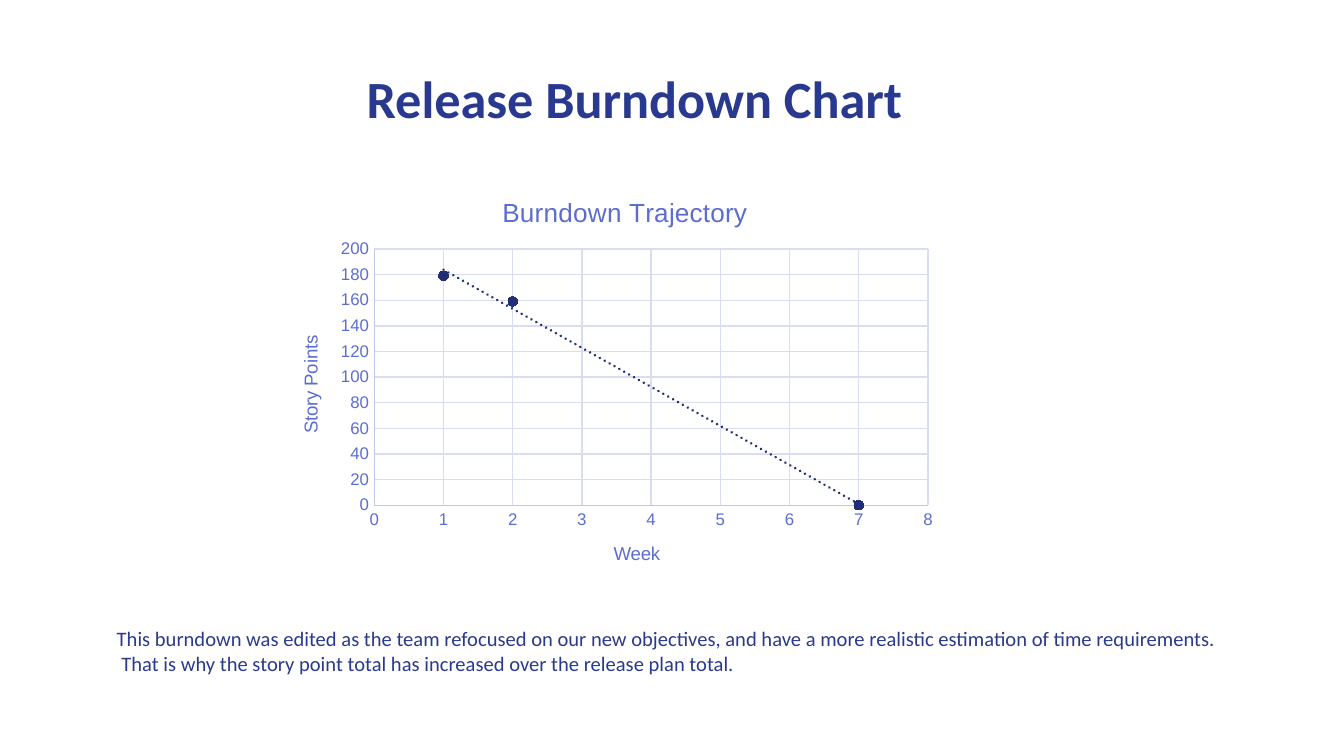
import pptx
import pptx.chart.data
import pptx.dml.color
import pptx.enum.chart
import pptx.enum.text
import pptx.oxml
import pptx.oxml.ns
import pptx.util
from dataclasses import dataclass

Inches = pptx.util.Inches
Pt = pptx.util.Pt
qn = pptx.oxml.ns.qn


@dataclass(frozen=True)
class Theme:
    ink: str = "2A3990"
    label: str = "5C6DCF"
    axis: str = "C0C7ED"
    grid: str = "D9DDF4"
    marker: str = "212D74"
    current: str = "C00000"
    text_font: str = "Calibri"
    chart_font: str = "Arial"
    heading: int = 28
    note: int = 11
    chart_title: int = 14
    axis_title: int = 10
    tick: int = 9
    rule: float = 0.75
    trend: float = 1.5


THEME = Theme()


def rgb(value):
    return pptx.dml.color.RGBColor.from_string(value)


def set_attrs(target, values):
    for name, value in values.items():
        setattr(target, name, value)


def set_fill(fill, color):
    fill.solid()
    fill.fore_color.rgb = rgb(color)


def set_font(font, name, size, color, bold=False):
    set_attrs(font, {"name": name, "size": Pt(size), "bold": bold})
    set_fill(font.fill, color)


def add_text(s, box, lines, size, bold=False, **frame):
    sp = s.shapes.add_textbox(*map(Inches, box))
    tf = sp.text_frame
    set_attrs(tf, frame)
    for i, line in enumerate(lines):
        p = tf.paragraphs[0] if i == 0 else tf.add_paragraph()
        r = p.add_run()
        r.text = line
        set_font(r.font, THEME.text_font, size, THEME.ink, bold)


def set_title(title, text, size):
    r = title.text_frame.paragraphs[0].add_run()
    r.text = text
    set_font(r.font, THEME.chart_font, size, THEME.label)


def style_line(line, color):
    line.color.rgb = rgb(color)
    line.width = Pt(THEME.rule)


def style_axis(axis, title, maximum, step):
    set_attrs(axis, {
        "minimum_scale": 0,
        "maximum_scale": maximum,
        "major_unit": step,
        "has_major_gridlines": True,
        "has_minor_gridlines": False,
        "major_tick_mark": pptx.enum.chart.XL_TICK_MARK.NONE,
        "minor_tick_mark": pptx.enum.chart.XL_TICK_MARK.NONE,
    })
    set_title(axis.axis_title, title, THEME.axis_title)
    set_font(axis.tick_labels.font, THEME.chart_font, THEME.tick, THEME.label)
    style_line(axis.format.line, THEME.axis)
    style_line(axis.major_gridlines.format.line, THEME.grid)


def style_marker(marker, color):
    set_attrs(marker, {"style": pptx.enum.chart.XL_MARKER_STYLE.CIRCLE, "size": 5})
    set_fill(marker.format.fill, color)
    marker.format.line.color.rgb = rgb(color)


def style_point(point, color):
    style_marker(point.marker, color)
    set_fill(point.format.fill, color)
    point.format.line.fill.background()


def drop_missing_values(series):
    for pt in list(series._element.iter(qn("c:pt"))):
        if pt.findtext(qn("c:v")) == "None":
            pt.getparent().remove(pt)


def add_trendline(series):
    xml = (
        f'<c:trendline {pptx.oxml.ns.nsdecls("c", "a")}>'
        f'<c:spPr><a:ln w="{Pt(THEME.trend)}" cap="rnd"><a:solidFill><a:srgbClr val="{THEME.marker}"/>'
        '</a:solidFill><a:prstDash val="sysDot"/></a:ln></c:spPr>'
        '<c:trendlineType val="linear"/><c:dispRSqr val="0"/><c:dispEq val="0"/></c:trendline>'
    )
    series._element.find(qn("c:xVal")).addprevious(pptx.oxml.parse_xml(xml))


def set_plot_layout(chart, **place):
    area = chart._chartSpace.chart.plotArea
    for old in area.findall(qn("c:layout")):
        area.remove(old)
    modes = "".join(f'<c:{k}Mode val="edge"/>' for k in ("x", "y"))
    values = "".join(f'<c:{k} val="{v}"/>' for k, v in place.items())
    area.insert(0, pptx.oxml.parse_xml(
        f'<c:layout {pptx.oxml.ns.nsdecls("c")}><c:manualLayout>'
        f'<c:layoutTarget val="inner"/>{modes}{values}</c:manualLayout></c:layout>'
    ))


def add_burndown(s, box, story_points, current):
    data = pptx.chart.data.XyChartData()
    values = data.add_series("Series 1")
    for week, remaining in enumerate(story_points, 1):
        values.add_data_point(week, remaining)
    kind = pptx.enum.chart.XL_CHART_TYPE.XY_SCATTER
    chart = s.shapes.add_chart(kind, *map(Inches, box), data).chart
    chart.has_legend = False
    set_font(chart.font, THEME.chart_font, THEME.axis_title, THEME.ink)
    set_title(chart.chart_title, "Burndown Trajectory", THEME.chart_title)
    style_axis(chart.category_axis, "Week", 8, 1)
    style_axis(chart.value_axis, "Story Points", 200, 20)
    plot = chart.plots[0]
    plot.vary_by_categories = False
    series = plot.series[0]
    drop_missing_values(series)
    series.format.line.fill.background()
    style_marker(series.marker, THEME.marker)
    style_point(series.points[current], THEME.current)
    add_trendline(series)
    set_plot_layout(chart, x=0.127, y=0.181, w=0.824, h=0.636)


def main():
    prs = pptx.Presentation()
    width = Inches(10)
    set_attrs(prs, {"slide_width": width, "slide_height": width * 9 // 16})
    s = prs.slides.add_slide(prs.slide_layouts[6])
    add_text(s, (2.63, 0.44, 5.4, 0.88), ["Release Burndown Chart"], THEME.heading, True,
             word_wrap=True, vertical_anchor=pptx.enum.text.MSO_ANCHOR.TOP)
    add_burndown(s, (2.15, 1.31, 5, 3), [179, 159, None, None, None, None, 0], current=1)
    add_text(s, (0.77, 4.61, 8.45, 0.47), [
        "This burndown was edited as the team refocused on our new objectives, "
        "and have a more realistic estimation of time requirements.",
        " That is why the story point total has increased over the release plan total.",
    ], THEME.note, word_wrap=False, vertical_anchor=pptx.enum.text.MSO_ANCHOR.MIDDLE,
        auto_size=pptx.enum.text.MSO_AUTO_SIZE.SHAPE_TO_FIT_TEXT)
    prs.save("out.pptx")


if __name__ == "__main__":
    main()
